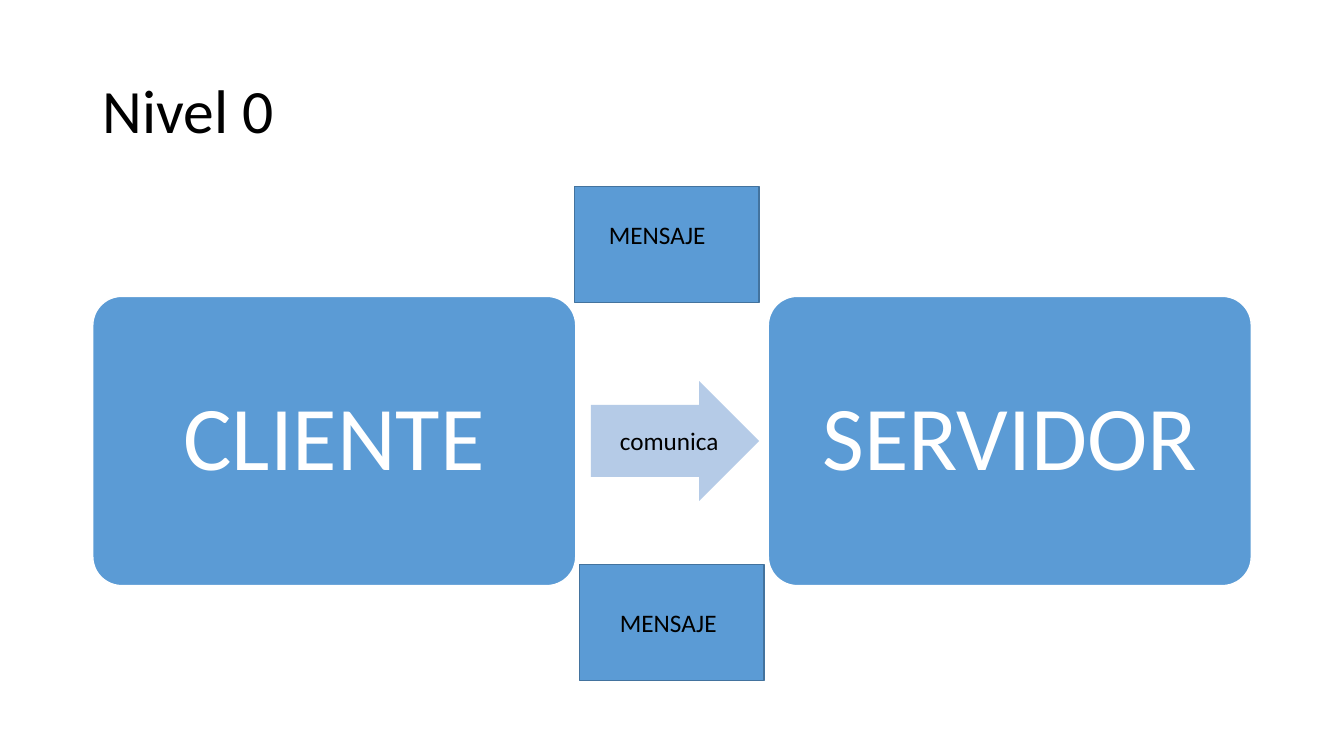
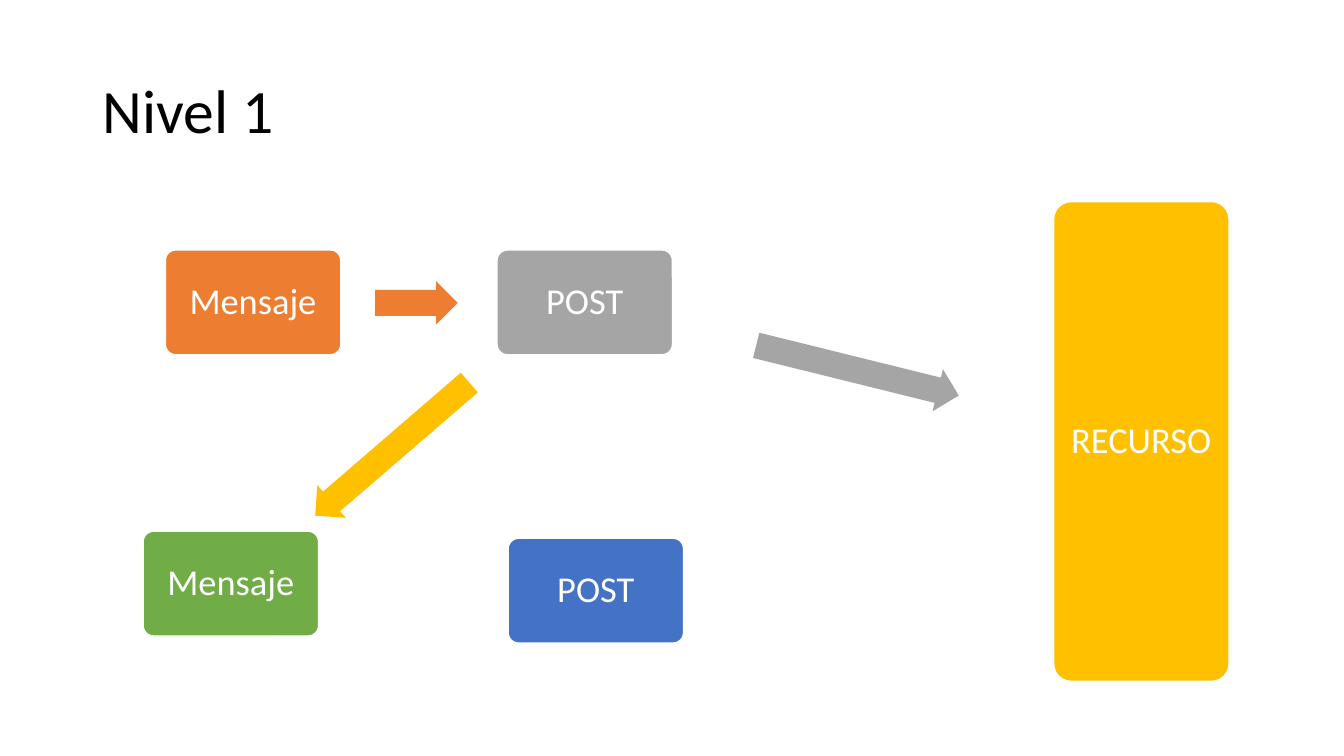
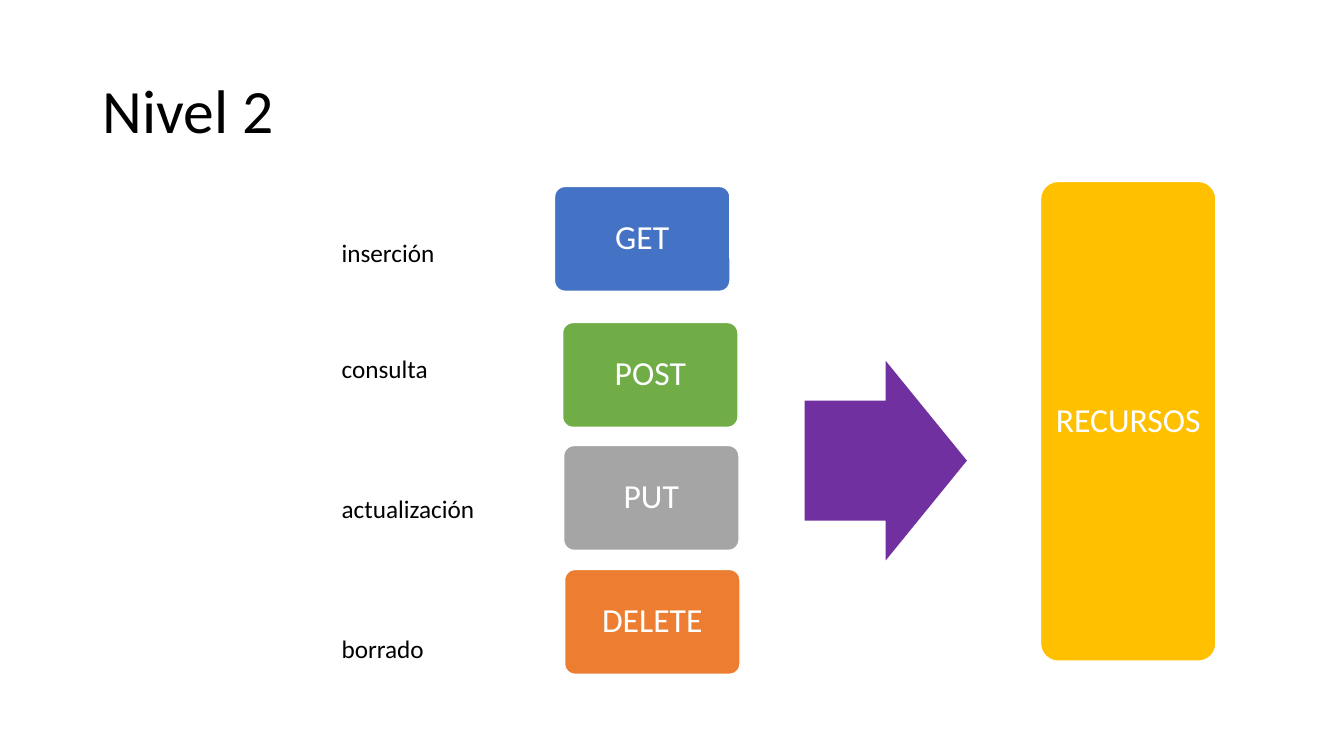
"""Three slides on the maturity levels of a web service."""
from dataclasses import dataclass

from pptx import Presentation
from pptx import util as u
from pptx.dml.color import RGBColor
from pptx.enum import shapes, text

FONT = "Calibri"
BLACK, WHITE = "000000", "FFFFFF"
SKY, SKY_EDGE, PALE = "5B9BD5", "43739E", "B5CBE7"
ORANGE, GRAY, GOLD = "ED7D31", "A5A5A5", "FFC000"
BLUE, GREEN, PURPLE = "4472C4", "70AD47", "7030A0"

PARTY_SIZE = (4.79, 2.87)
STEP_SIZE = (1.74, 1.04)
RESOURCE_SIZE = (1.74, 4.76)
MESSAGE_SIZE = (1.83, 1.15)
LABEL_HEIGHT = 0.4


@dataclass(frozen=True)
class Node:
    """A rounded box with a centred caption."""
    caption: str
    left: float
    top: float
    fill: str
    size: tuple[float, float] = STEP_SIZE


@dataclass(frozen=True)
class Arrow:
    """A block arrow, turned clockwise by some degrees."""
    left: float
    top: float
    width: float
    height: float
    fill: str
    rotation: float = 0


@dataclass(frozen=True)
class Message:
    """A plain outlined rectangle."""
    left: float
    top: float


@dataclass(frozen=True)
class Label:
    """A short free-standing text."""
    caption: str
    left: float
    top: float
    width: float


@dataclass(frozen=True)
class Level:
    """The content of one slide."""
    title: str
    node_points: float
    nodes: tuple[Node, ...]
    arrows: tuple[Arrow, ...]
    labels: tuple[Label, ...] = ()
    messages: tuple[Message, ...] = ()


LEVELS = (
    Level(
        "Nivel 0", 65,
        nodes=(Node("CLIENTE", 0.92, 2.94, SKY, PARTY_SIZE),
               Node("SERVIDOR", 7.62, 2.94, SKY, PARTY_SIZE)),
        arrows=(Arrow(5.86, 3.78, 1.67, 1.19, PALE),),
        labels=(Label("comunica", 6.05, 4.17, 1.23),
                Label("MENSAJE", 5.94, 2.13, 1.34),
                Label("MENSAJE", 6.05, 5.98, 1.34)),
        messages=(Message(5.7, 1.85), Message(5.75, 5.6)),
    ),
    Level(
        "Nivel 1", 26,
        nodes=(Node("Mensaje", 1.64, 2.48, ORANGE),
               Node("POST", 4.93, 2.48, GRAY),
               Node("RECURSO", 10.45, 2, GOLD, RESOURCE_SIZE),
               Node("POST", 5.04, 5.34, BLUE),
               Node("Mensaje", 1.42, 5.27, GREEN)),
        arrows=(Arrow(3.72, 2.79, 0.82, 0.43, ORANGE),
                Arrow(7.47, 3.46, 2.07, 0.43, GRAY, 13.9),
                Arrow(2.88, 4.24, 2.02, 0.43, GOLD, 139.2)),
    ),
    Level(
        "Nivel 2", 24,
        nodes=(Node("GET", 5.5, 1.85, BLUE),
               Node("POST", 5.58, 3.2, GREEN),
               Node("PUT", 5.59, 4.42, GRAY),
               Node("DELETE", 5.6, 5.65, ORANGE),
               Node("RECURSOS", 10.32, 1.8, GOLD, RESOURCE_SIZE)),
        arrows=(Arrow(7.98, 3.58, 1.61, 1.98, PURPLE),),
        labels=(Label("inserción", 3.29, 2.31, 1.84),
                Label("consulta", 3.29, 3.46, 1.3),
                Label("actualización", 3.29, 4.84, 1.69),
                Label("borrado", 3.29, 6.23, 1.3)),
    ),
)


def color(value: str) -> RGBColor:
    """Turn a hex string into a colour."""
    return RGBColor.from_string(value)


def write(shape, caption: str, points: float, ink: str,
          spacing: float | None = None):
    """Add one run of text to a shape and return its paragraph."""
    paragraph = shape.text_frame.paragraphs[0]
    paragraph.line_spacing = spacing
    run = paragraph.add_run()
    run.text = caption
    run.font.name = FONT
    run.font.size = u.Pt(points)
    run.font.color.rgb = color(ink)
    return paragraph


def add_text_box(slide, left: float, top: float, width: float, height: float):
    """Add an empty wrapping text box."""
    box = slide.shapes.add_textbox(*map(u.Inches, (left, top, width, height)))
    box.text_frame.word_wrap = True
    return box


def add_filled(slide, kind: shapes.MSO_SHAPE, left: float, top: float,
               width: float, height: float, fill: str,
               edge: str | None = None):
    """Add a flat preset shape, with a 1 pt edge if one is given."""
    shape = slide.shapes.add_shape(
        kind, *map(u.Inches, (left, top, width, height)))
    shape.shadow.inherit = False
    shape.fill.solid()
    shape.fill.fore_color.rgb = color(fill)
    if edge:
        shape.line.color.rgb = color(edge)
        shape.line.width = u.Pt(1)
    else:
        shape.line.fill.background()
    return shape


def add_title(slide, caption: str) -> None:
    """Add the slide title."""
    box = add_text_box(slide, 0.92, 0.4, 11.5, 1.45)
    box.text_frame.vertical_anchor = text.MSO_ANCHOR.MIDDLE
    write(box, caption, 44, BLACK, 0.9)


def add_node(slide, node: Node, points: float) -> None:
    """Draw a rounded box with its caption."""
    shape = add_filled(slide, shapes.MSO_SHAPE.ROUNDED_RECTANGLE,
                       node.left, node.top, *node.size, node.fill, WHITE)
    shape.adjustments[0] = 0.1
    shape.text_frame.word_wrap = False
    shape.text_frame.vertical_anchor = text.MSO_ANCHOR.MIDDLE
    paragraph = write(shape, node.caption, points, WHITE, 0.9)
    paragraph.alignment = text.PP_ALIGN.CENTER


def add_arrow(slide, arrow: Arrow) -> None:
    """Draw a block arrow."""
    shape = add_filled(slide, shapes.MSO_SHAPE.RIGHT_ARROW, arrow.left,
                       arrow.top, arrow.width, arrow.height, arrow.fill)
    shape.adjustments[0] = 0.6
    shape.adjustments[1] = 0.5
    shape.rotation = arrow.rotation


def add_message(slide, message: Message) -> None:
    """Draw a message rectangle."""
    add_filled(slide, shapes.MSO_SHAPE.RECTANGLE, message.left, message.top,
               *MESSAGE_SIZE, SKY, SKY_EDGE)


def add_label(slide, label: Label) -> None:
    """Draw a label that grows with its text."""
    box = add_text_box(slide, label.left, label.top, label.width, LABEL_HEIGHT)
    box.text_frame.auto_size = text.MSO_AUTO_SIZE.SHAPE_TO_FIT_TEXT
    write(box, label.caption, 18, BLACK)


def add_level(presentation, level: Level) -> None:
    """Build the slide of one level, from back to front."""
    slide = presentation.slides.add_slide(presentation.slide_layouts[6])
    add_title(slide, level.title)
    for node in level.nodes:
        add_node(slide, node, level.node_points)
    for arrow in level.arrows:
        add_arrow(slide, arrow)
    for message in level.messages:
        add_message(slide, message)
    for label in level.labels:
        add_label(slide, label)


def main() -> None:
    """Build and save the presentation."""
    presentation = Presentation()
    presentation.slide_width = u.Inches(13.33)
    presentation.slide_height = u.Inches(7.5)
    for level in LEVELS:
        add_level(presentation, level)
    presentation.save("out.pptx")


main()
